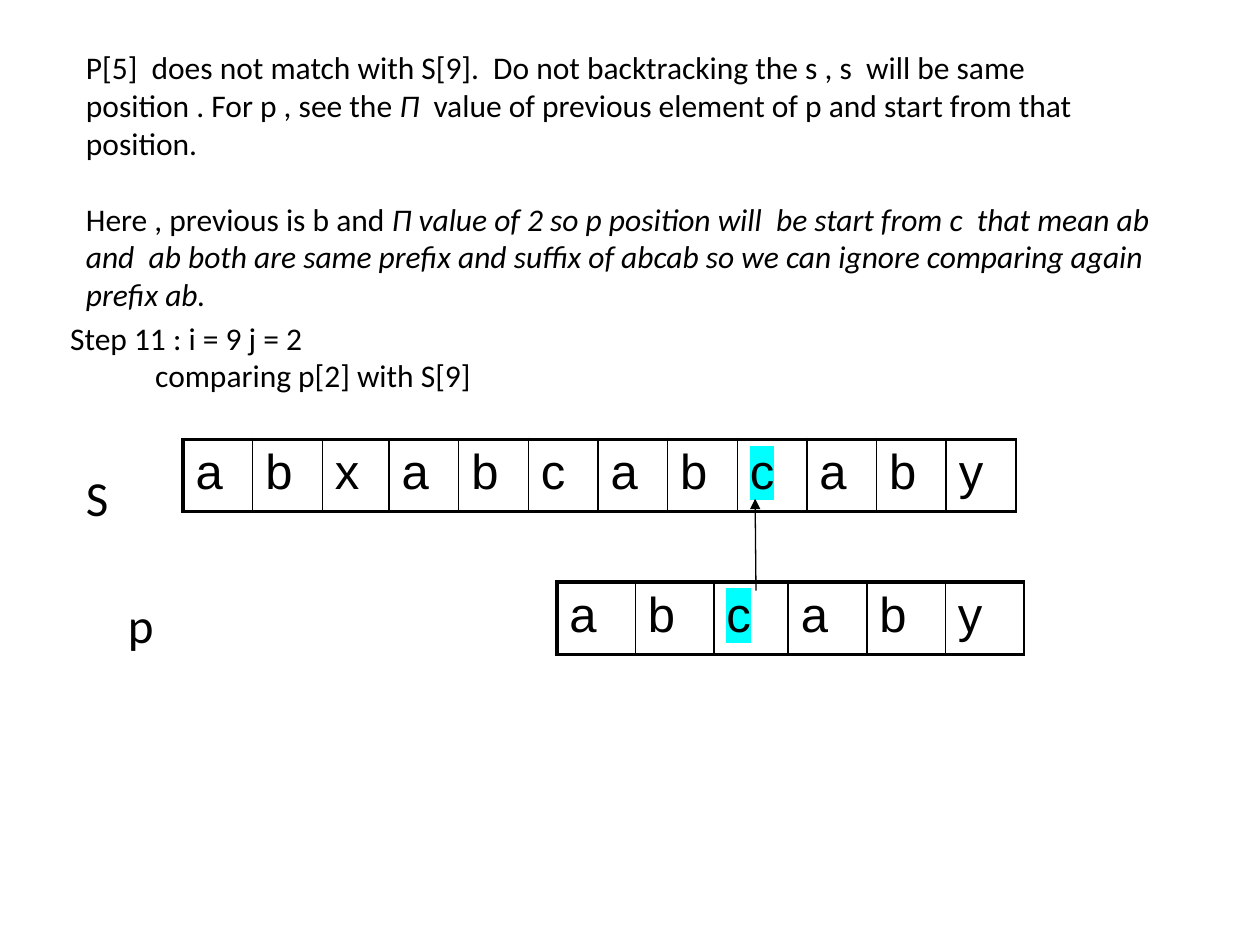
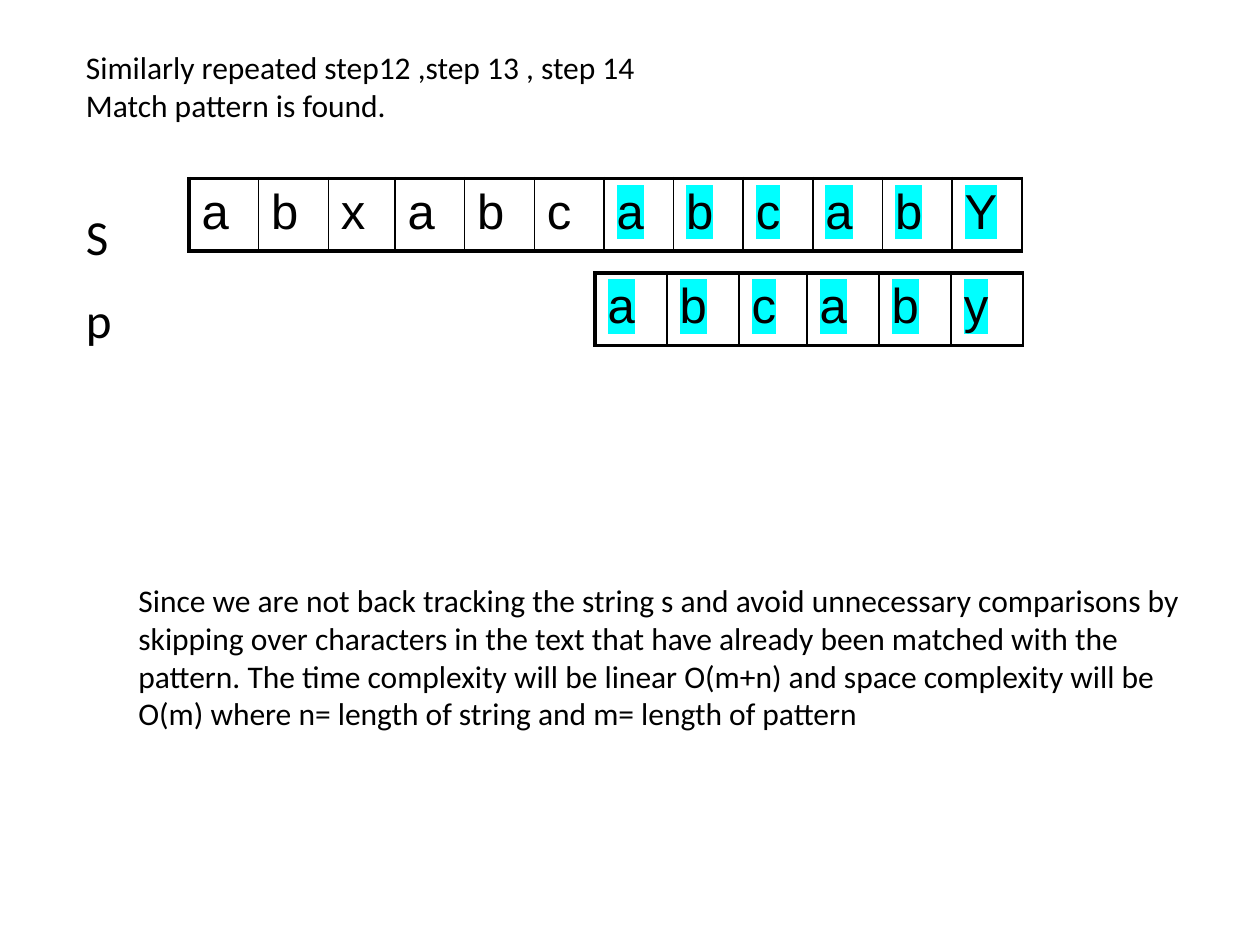
from lxml.etree import SubElement
from pptx import Presentation
from pptx.dml.color import RGBColor
from pptx.enum.shapes import MSO_CONNECTOR
from pptx.enum.text import MSO_AUTO_SIZE
from pptx.oxml.ns import qn
from pptx.util import Pt

BLACK, CYAN = "000000", "00FFFF"
BODY_FONT, CELL_FONT = "Calibri", "Arial"
BODY_SIZE, LETTER_SIZE = 18, 28
THICK, THIN = 2.25, 1
TEXT_LEFT, TEXT_TOP, TEXT_WIDTH = 42, 24, 624
ROW_HEIGHT = 41.4
NARROW_COLUMN = 2
STRING_WIDTHS = (39.8, 38.1)
STRING_LENGTH, PATTERN_LENGTH = 12, 6


def color(value):
    return RGBColor.from_string(value)


def style_run(r, size, font=BODY_FONT, italic=False):
    r.font.size, r.font.name = Pt(size), font
    r.font.color.rgb = color(BLACK)
    if italic:
        r.font.italic = True


def add_text(slide, box, paragraphs, size=BODY_SIZE, wrap=True):
    """Each paragraph is a list of (text, italic) pairs."""
    sp = slide.shapes.add_textbox(*map(Pt, box))
    tf = sp.text_frame
    tf.word_wrap = wrap
    tf.auto_size = MSO_AUTO_SIZE.SHAPE_TO_FIT_TEXT
    for i, runs in enumerate(paragraphs):
        p = tf.paragraphs[0] if i == 0 else tf.add_paragraph()
        for text, italic in runs:
            r = p.add_run()
            r.text = text
            style_run(r, size, italic=italic)
    return tf


def add_label(slide, left, top, letter):
    add_text(slide, (left, top, 32, 40), [[(letter, False)]], LETTER_SIZE, wrap=False)


def set_borders(cell, first):
    tcPr = cell._tc.get_or_add_tcPr()
    widths = {"a:lnL": THICK if first else THIN, "a:lnR": THIN,
              "a:lnT": THICK, "a:lnB": THICK}
    for tag, width in widths.items():
        ln = SubElement(tcPr, qn(tag), w=str(Pt(width)))
        fill = SubElement(ln, qn("a:solidFill"))
        SubElement(fill, qn("a:srgbClr"), val=BLACK)


def highlight(r):
    rPr = r.font._element
    mark = SubElement(rPr, qn("a:highlight"))
    SubElement(mark, qn("a:srgbClr"), val=CYAN)
    rPr.find(qn("a:solidFill")).addnext(mark)


def add_letters(slide, left, top, letters, widths, marked):
    """One row of cells; widths holds the usual and the narrow column width."""
    cols = [widths[i == NARROW_COLUMN] for i in range(len(letters))]
    frame = slide.shapes.add_table(1, len(letters), Pt(left), Pt(top),
                                   Pt(sum(cols)), Pt(ROW_HEIGHT))
    table = frame.table
    table.first_row = table.horz_banding = False
    for i, letter in enumerate(letters):
        table.columns[i].width = Pt(cols[i])
        cell = table.cell(0, i)
        set_borders(cell, first=i == 0)
        cell.fill.background()
        cell.text = letter
        r = cell.text_frame.paragraphs[0].runs[0]
        style_run(r, LETTER_SIZE, CELL_FONT)
        if i in marked:
            highlight(r)


def add_arrow(slide, start, end):
    line = slide.shapes.add_connector(MSO_CONNECTOR.STRAIGHT, *map(Pt, start + end))
    line.line.color.rgb = color(BLACK)
    line.line.width = Pt(0.75)
    SubElement(line.line._get_or_add_ln(), qn("a:tailEnd"), type="triangle")
    SubElement(line._element.spPr, qn("a:effectLst"))


def mismatch_slide(prs):
    slide = prs.slides.add_slide(prs.slide_layouts[6])

    # Explanation
    tf = add_text(slide, (TEXT_LEFT, TEXT_TOP, TEXT_WIDTH, 138), [
        [("P[5]  does not match with S[9].  Do not backtracking the s , s  will be same  "
          "position . For p , see the ", False),
         ("Π  ", True),
         ("value of previous element of p and start from that position.", False)],
        [("Here , previous is b and ", False),
         ("Π value of 2 so p position will  be start from c  that mean ab and  ab both "
          "are same prefix and suffix of abcab so we can ignore comparing again "
          "prefix ab. ", True)],
    ])
    tf.paragraphs[1].space_before = Pt(21.7)

    # Step
    tf = add_text(slide, (33, 178.5, 600, 83.5), [
        [("Step 11 : i = 9 j = 2", False)],
        [("comparing p[2] with S[9]", False)],
    ])
    tf.paragraphs[1]._p.get_or_add_pPr().set("marL", str(Pt(48.6)))

    # String above pattern, compared at c
    add_label(slide, TEXT_LEFT, 263.5, "S")
    add_letters(slide, 104.6, 251, "abxabcabcaby", STRING_WIDTHS, {8})
    add_letters(slide, 318.2, 332.6, "abcaby", (44.9, 42.5), {2})
    add_label(slide, 66, 336, "p")
    add_arrow(slide, (432, 337.5), (431.5, 285))


def match_slide(prs):
    slide = prs.slides.add_slide(prs.slide_layouts[6])

    # Result
    add_text(slide, (TEXT_LEFT, TEXT_TOP, TEXT_WIDTH, 105), [
        [("Similarly repeated step12 ,step 13 , step 14", False)],
        [("Match pattern is found.", False)],
    ])

    # String above pattern, all of the pattern matched
    add_label(slide, TEXT_LEFT, 114.5, "S")
    add_letters(slide, 108, 102, "abxabcabcabY", STRING_WIDTHS,
                range(STRING_LENGTH - PATTERN_LENGTH, STRING_LENGTH))
    add_letters(slide, 340, 156, "abcaby", (41.2, 38.8), range(PATTERN_LENGTH))
    add_label(slide, TEXT_LEFT, 162, "p")

    # Complexity
    add_text(slide, (72, 328.5, TEXT_WIDTH, 94.5), [
        [("Since we are not back tracking the string s and avoid unnecessary comparisons "
          "by skipping over characters in the text that have already been matched with "
          "the pattern. The time complexity will be linear O(m+n) and space complexity "
          "will be O(m) where n= length of string and m= length of pattern", False)],
    ])


prs = Presentation()
prs.slide_width, prs.slide_height = Pt(720), Pt(540)
mismatch_slide(prs)
match_slide(prs)
prs.save("out.pptx")
